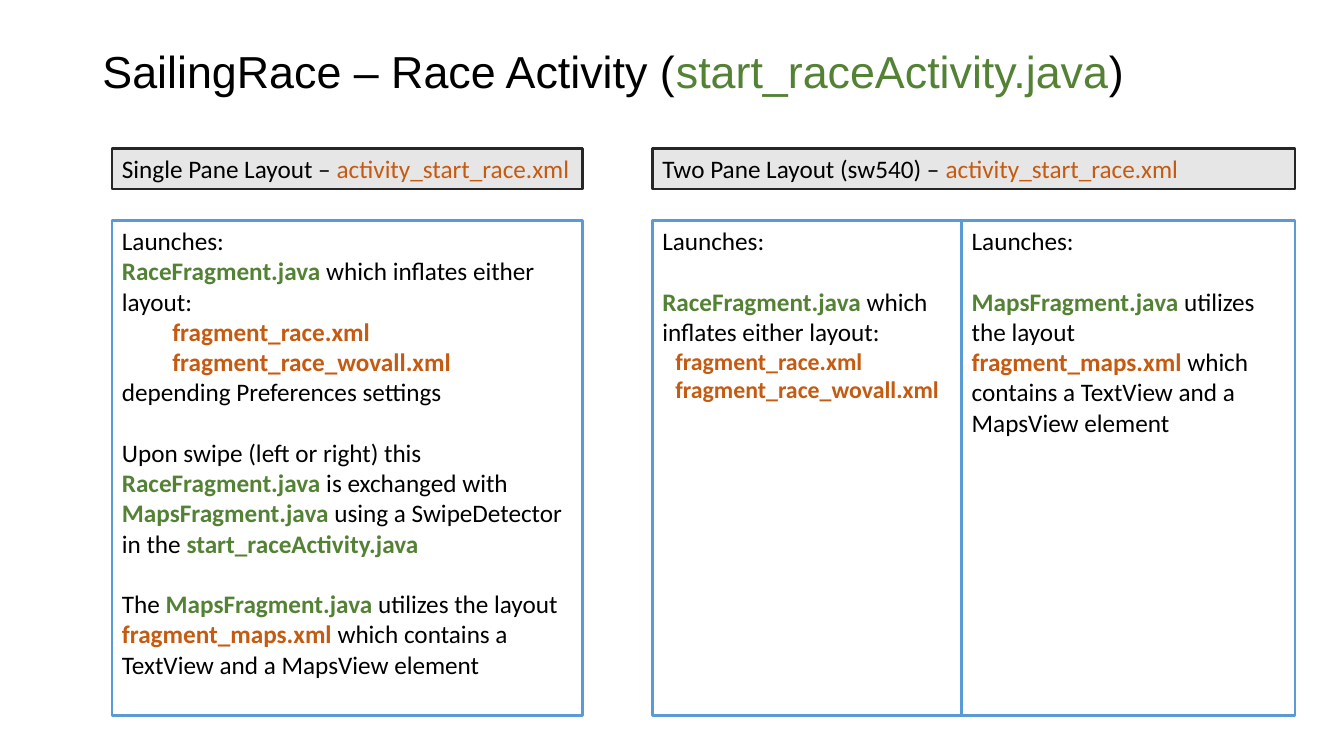
from pptx import Presentation
from pptx.dml.color import RGBColor
from pptx.enum.shapes import MSO_SHAPE
from pptx.enum.text import MSO_ANCHOR, MSO_AUTO_SIZE, PP_ALIGN
from pptx.util import Pt

BLACK = "000000"
FILE_COLOURS = {".java": "548235", ".xml": "C55A11"}
LINE_GAP = 21.6

TITLE = "SailingRace – Race Activity (|start_raceActivity.java|)"

HEADERS = [
    ("Single Pane Layout – |activity_start_race.xml", 80, 336),
    ("Two Pane Layout (sw540) – |activity_start_race.xml", 466, 459),
]

SINGLE_PANE = [
    ("Launches:", {}),
    ("|RaceFragment.java| which inflates either layout:", {}),
    ("|fragment_race.xml", {"indent": 36}),
    ("|fragment_race_wovall.xml", {"indent": 36}),
    ("depending Preferences settings", {}),
    ("Upon swipe (left or right) this |RaceFragment.java| is exchanged with", {"before": LINE_GAP}),
    ("|MapsFragment.java| using a SwipeDetector in the |start_raceActivity.java", {}),
    ("The |MapsFragment.java| utilizes the layout", {"before": LINE_GAP}),
    ("|fragment_maps.xml| which contains a TextView and a MapsView element", {}),
]
RACE_PANE = [
    ("Launches:", {}),
    ("|RaceFragment.java| which inflates either layout:", {"before": LINE_GAP}),
    ("|fragment_race.xml", {"indent": 9.4, "size": 17}),
    ("|fragment_race_wovall.xml", {"indent": 9.4, "size": 17}),
]
MAPS_PANE = [
    ("Launches:", {}),
    ("|MapsFragment.java| utilizes the layout", {"before": LINE_GAP}),
    ("|fragment_maps.xml| which contains a TextView and a MapsView element", {}),
]
PANES = [(SINGLE_PANE, 80, 336), (RACE_PANE, 466, 221), (MAPS_PANE, 687, 238)]

HEADER_TOP, HEADER_HEIGHT = 106, 29
PANE_TOP, PANE_HEIGHT = 157.5, 353.5


def colour(value):
    return RGBColor.from_string(value)


def write(paragraph, text, size=18, font="Calibri", bold_files=False, indent=0, before=0, spacing=1.0):
    paragraph.alignment = PP_ALIGN.LEFT
    paragraph.space_before = Pt(before)
    paragraph.line_spacing = spacing
    if indent:
        properties = paragraph._p.get_or_add_pPr()
        properties.set("marL", str(Pt(indent)))
        properties.set("indent", "0")
    for piece in filter(None, text.split("|")):
        file_colour = next((c for suffix, c in FILE_COLOURS.items() if piece.endswith(suffix)), None)
        run = paragraph.add_run()
        run.text = piece
        run.font.name = font
        run.font.size = Pt(size)
        run.font.bold = bold_files and file_colour is not None
        run.font.color.rgb = colour(file_colour or BLACK)


def add_box(left, top, width, height, outline, fill=None):
    box = slide.shapes.add_shape(MSO_SHAPE.RECTANGLE, Pt(left), Pt(top), Pt(width), Pt(height))
    box.shadow.inherit = False
    box.line.color.rgb = colour(outline)
    box.line.width = Pt(2)
    if fill:
        box.fill.solid()
        box.fill.fore_color.rgb = colour(fill)
    else:
        box.fill.background()
    box.text_frame.word_wrap = True
    box.text_frame.vertical_anchor = MSO_ANCHOR.TOP
    return box.text_frame


presentation = Presentation()
presentation.slide_width, presentation.slide_height = Pt(960), Pt(540)
slide = presentation.slides.add_slide(presentation.slide_layouts[5])

title = slide.shapes.title
title.left, title.top, title.width, title.height = Pt(66), Pt(28.8), Pt(828), Pt(47.5)
title.text_frame.auto_size = MSO_AUTO_SIZE.NONE
title.text_frame.vertical_anchor = MSO_ANCHOR.MIDDLE
write(title.text_frame.paragraphs[0], TITLE, size=32, font="Arial", spacing=0.9)

for heading, left, width in HEADERS:
    header = add_box(left, HEADER_TOP, width, HEADER_HEIGHT, "262626", fill="E7E6E6")
    write(header.paragraphs[0], heading)

for lines, left, width in PANES:
    pane = add_box(left, PANE_TOP, width, PANE_HEIGHT, "5B9BD5")
    for number, (text, layout) in enumerate(lines):
        paragraph = pane.add_paragraph() if number else pane.paragraphs[0]
        write(paragraph, text, bold_files=True, **layout)

presentation.save("out.pptx")
